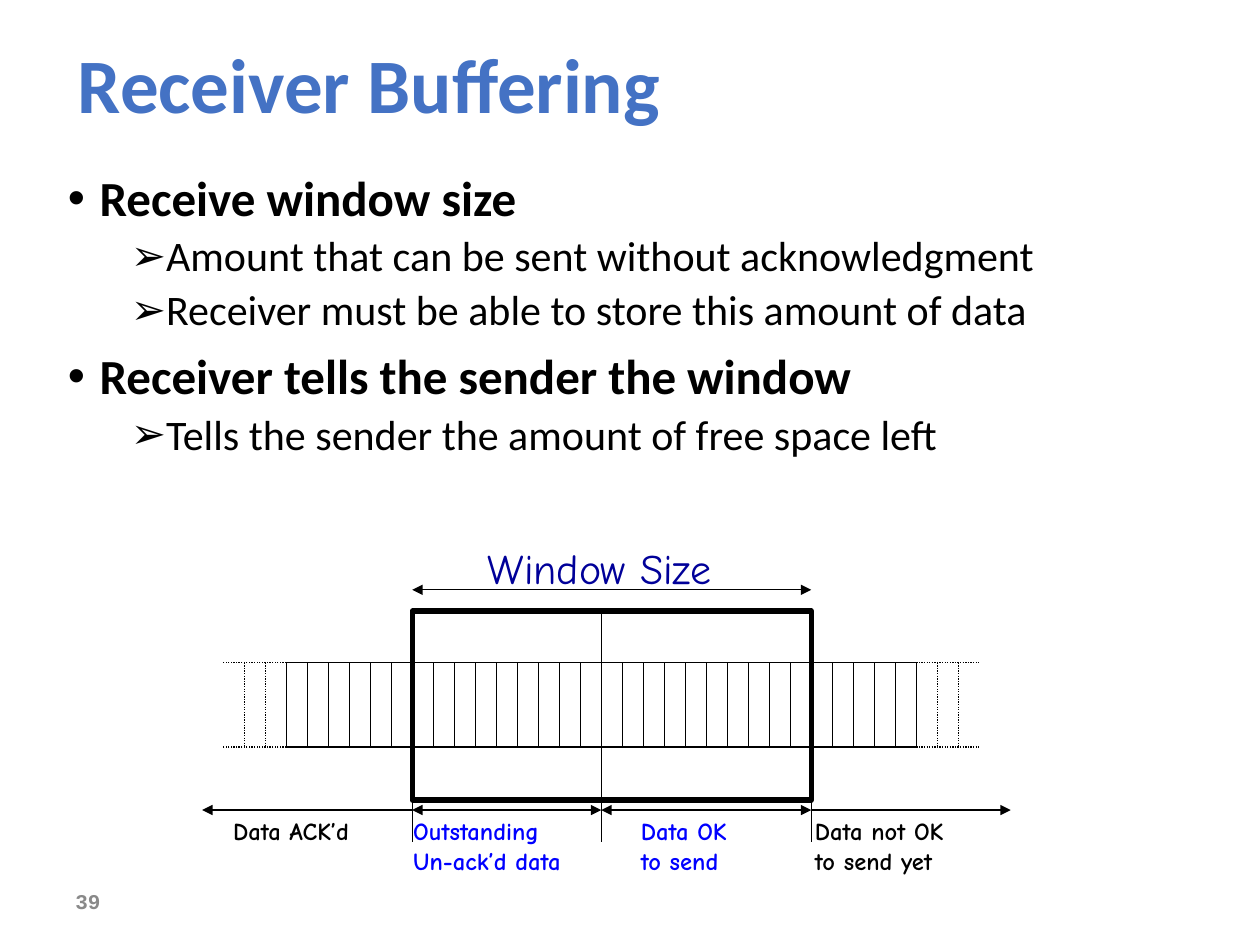
from lxml.etree import SubElement
from pptx import Presentation
from pptx.dml.color import RGBColor
from pptx.enum.dml import MSO_LINE
from pptx.enum.shapes import MSO_CONNECTOR, MSO_SHAPE
from pptx.enum.text import MSO_ANCHOR
from pptx.oxml.ns import qn
from pptx.util import Cm, Pt

COLORS = {"title": "4472C4", "black": "000000", "number": "898989",
          "navy": "000099", "blue": "0000FF"}
BODY_FONT, LABEL_FONT, NUMBER_FONT = "Calibri", "Comic Neue", "Courier New"

BULLETS = [
    (0, "Receive window size"),
    (1, "Amount that can be sent without acknowledgment"),
    (1, "Receiver must be able to store this amount of data"),
    (0, "Receiver tells the sender the window"),
    (1, "Tells the sender the amount of free space left"),
]
LEVELS = [
    {"char": "•", "size": 28, "bold": True, "before": 10, "margin": 0.64},
    {"char": "➢", "size": 24, "bold": False, "before": 5, "margin": 1.91},
]
LABELS = [
    (["Outstanding", "Un-ack’d data"], 8.08, 3.91, "blue"),
    (["Data OK", "to send"], 12.67, 2.77, "blue"),
    (["Data not OK", "to send yet"], 16.18, 3.73, "black"),
    (["Data ACK’d"], 4.45, 3.45, "black"),
]

CELLS, DOTTED_CELLS = 30, 3
BUFFER_LEFT, BUFFER_WIDTH = 5.77, 12.7
BUFFER_TOP, BUFFER_BOTTOM = 13.36, 15.06
WIN_START, WIN_SPLIT, WIN_END = 6, 15, 25
WIN_TOP, WIN_BOTTOM = 12.32, 16.13
SIZE_Y, RANGE_Y, TICK_BOTTOM = 11.89, 16.33, 16.97
RANGES = [(WIN_START, -4, False), (WIN_END, 34.5, False),
          (WIN_START, WIN_SPLIT, True), (WIN_SPLIT, WIN_END, True)]


def cell_x(i):
    return BUFFER_LEFT + i * BUFFER_WIDTH / CELLS


def color(name):
    return RGBColor.from_string(COLORS[name])


def add_text(s, lines, box, font, size, name, bold=False, anchor=MSO_ANCHOR.TOP):
    tf = s.shapes.add_textbox(*map(Cm, box)).text_frame
    tf.word_wrap = True
    tf.vertical_anchor = anchor
    tf.text = "\n".join(lines)
    for p in tf.paragraphs:
        for r in p.runs:
            r.font.name, r.font.size, r.font.bold = font, Pt(size), bold
            r.font.color.rgb = color(name)
    return tf


def add_line(s, x1, y1, x2, y2, dotted=False, head=False, tail=False):
    line = s.shapes.add_connector(MSO_CONNECTOR.STRAIGHT, Cm(x1), Cm(y1), Cm(x2), Cm(y2))
    line.line.color.rgb = color("black")
    line.line.width = Pt(0.75)
    if dotted:
        line.line.dash_style = MSO_LINE.ROUND_DOT
    ln = line.line._get_or_add_ln()
    for tag, shown in (("a:headEnd", head), ("a:tailEnd", tail)):
        if shown:
            SubElement(ln, qn(tag), type="triangle")
    SubElement(line._element.spPr, qn("a:effectLst"))


def add_bullets(s):
    tf = add_text(s, [text for _, text in BULLETS], (1.12, 3.38, 23.7, 13.64),
                  BODY_FONT, 28, "black")
    for p, (depth, _) in zip(tf.paragraphs, BULLETS):
        level = LEVELS[depth]
        p.level = depth
        p.line_spacing = 0.9
        p.space_before = Pt(level["before"])
        p.runs[0].font.size = Pt(level["size"])
        p.runs[0].font.bold = level["bold"]
        pPr = p._p.get_or_add_pPr()
        pPr.set("marL", str(Cm(level["margin"])))
        pPr.set("indent", str(-Cm(0.64)))
        SubElement(pPr, qn("a:buFont"), typeface="Arial")
        SubElement(pPr, qn("a:buChar"), char=level["char"])


def add_buffer(s):
    for y in (BUFFER_TOP, BUFFER_BOTTOM):
        add_line(s, cell_x(0), y, cell_x(CELLS), y)
        add_line(s, cell_x(CELLS), y, cell_x(CELLS + DOTTED_CELLS), y, dotted=True)
        add_line(s, cell_x(0), y, cell_x(-DOTTED_CELLS), y, dotted=True)
    for i in range(1 - DOTTED_CELLS, CELLS + DOTTED_CELLS):
        add_line(s, cell_x(i), BUFFER_TOP, cell_x(i), BUFFER_BOTTOM,
                 dotted=not 0 <= i <= CELLS)


def add_window(s):
    left, split, right = map(cell_x, (WIN_START, WIN_SPLIT, WIN_END))
    sp = s.shapes.add_shape(MSO_SHAPE.RECTANGLE, Cm(left), Cm(WIN_TOP),
                            Cm(right - left), Cm(WIN_BOTTOM - WIN_TOP))
    sp.shadow.inherit = False
    sp.fill.background()
    sp.line.color.rgb = color("black")
    sp.line.width = Pt(3)
    add_line(s, split, WIN_TOP, split, WIN_BOTTOM)
    add_line(s, left, SIZE_Y, right, SIZE_Y, head=True, tail=True)
    for start, end, both in RANGES:
        add_line(s, cell_x(start), RANGE_Y, cell_x(end), RANGE_Y, head=both, tail=True)
    for x in (left, split, right):
        add_line(s, x, WIN_BOTTOM, x, TICK_BOTTOM)


def main():
    prs = Presentation()
    prs.slide_width, prs.slide_height = Cm(25.4), Cm(19.05)
    s = prs.slides.add_slide(prs.slide_layouts[6])
    title = add_text(s, ["Receiver Buffering"], (1.32, 0.2, 22.86, 3.18), BODY_FONT, 44,
                     "title", True, MSO_ANCHOR.MIDDLE)
    title.paragraphs[0].line_spacing = 0.9
    add_bullets(s)
    add_text(s, ["39"], (1.27, 17.65, 5.92, 1.02), NUMBER_FONT, 12, "number", True,
             MSO_ANCHOR.MIDDLE)
    add_buffer(s)
    add_window(s)
    add_text(s, ["Window Size"], (9.58, 10.82, 5.59, 1.27), LABEL_FONT, 24, "navy")
    for lines, left, width, name in LABELS:
        add_text(s, lines, (left, RANGE_Y, width, 1.45), LABEL_FONT, 14, name, True)
    prs.save("out.pptx")


if __name__ == "__main__":
    main()
